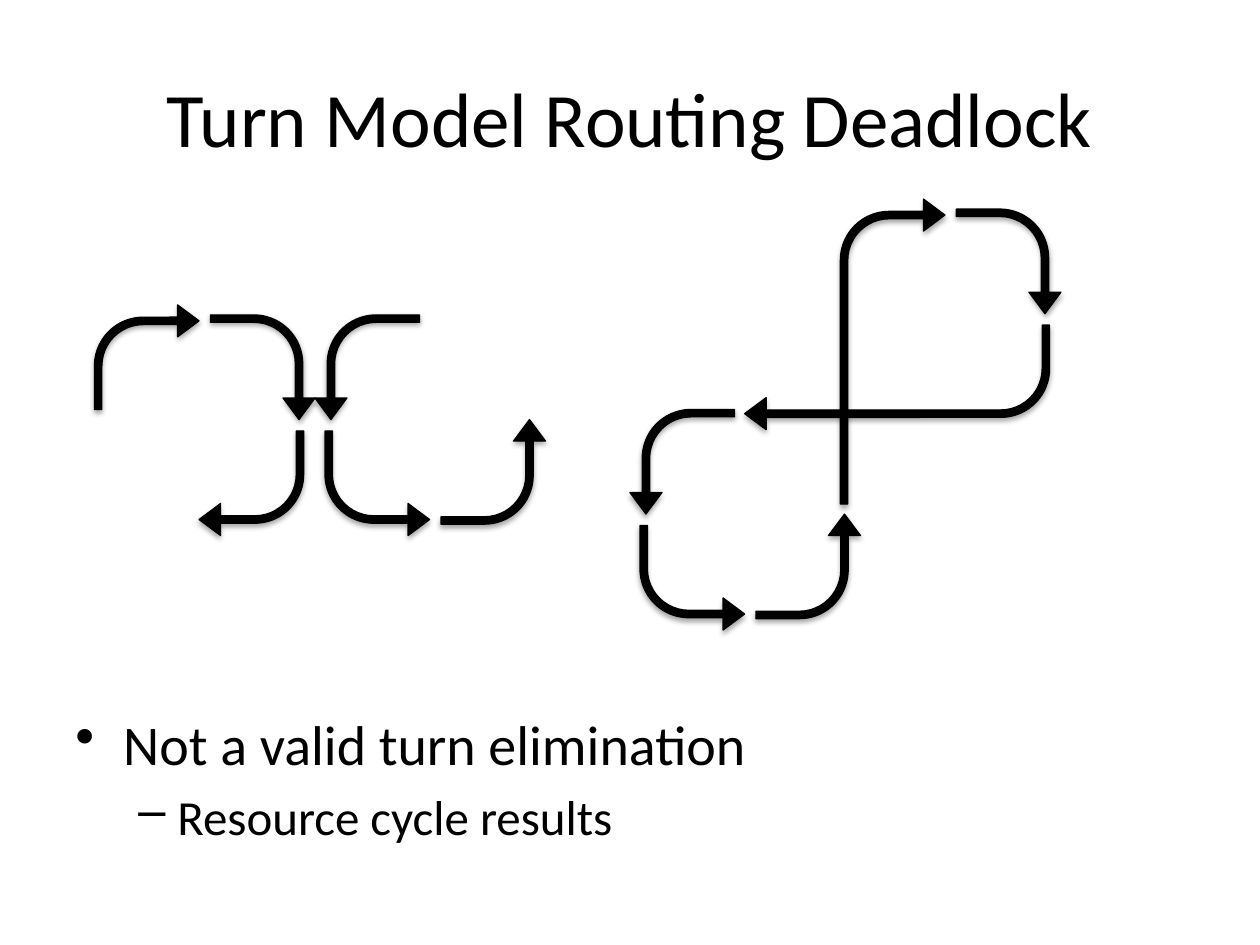
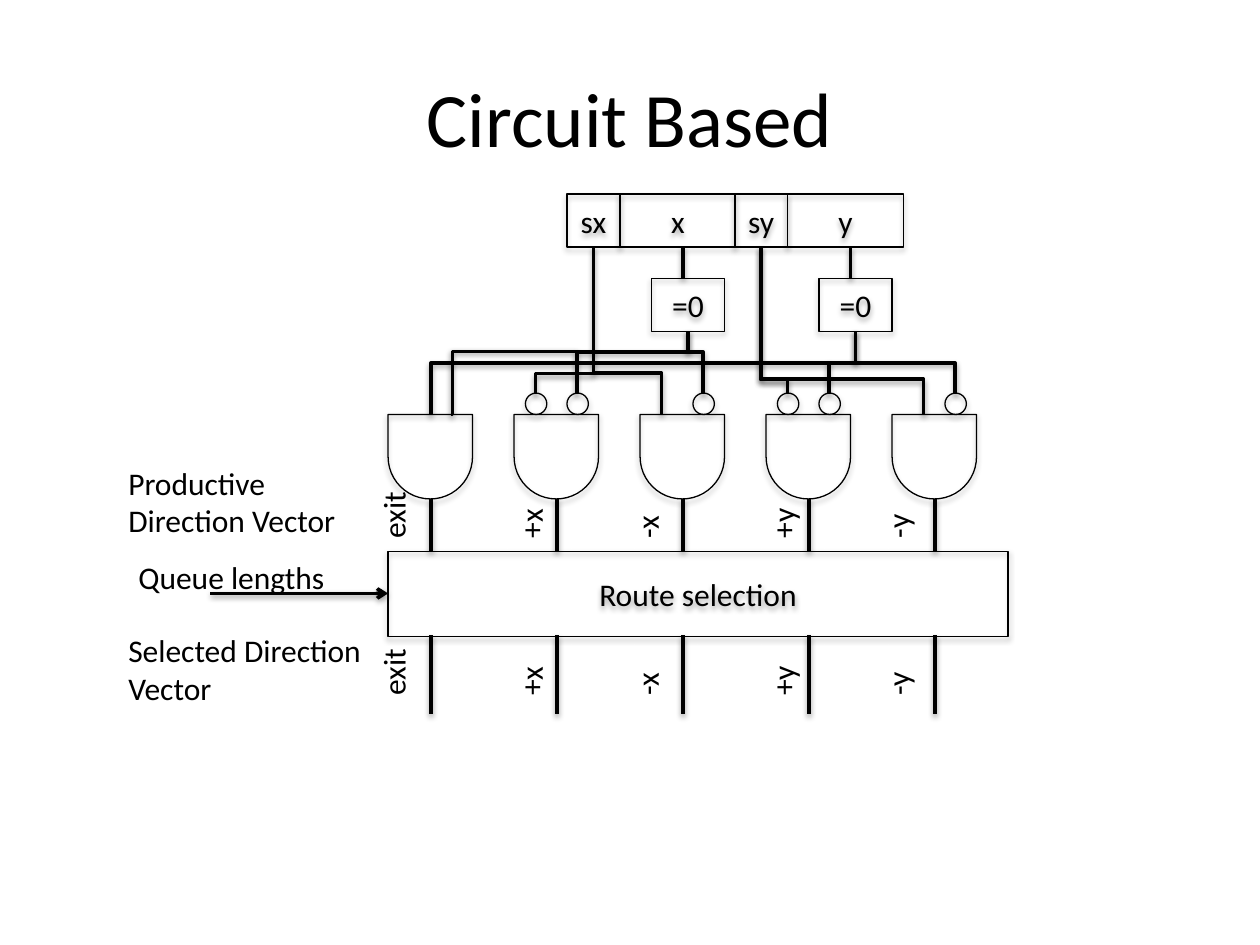
from dataclasses import dataclass

from pptx import Presentation
from pptx.dml.color import RGBColor
from pptx.enum.shapes import MSO_CONNECTOR, MSO_SHAPE
from pptx.enum.text import MSO_ANCHOR, MSO_AUTO_SIZE, PP_ALIGN
from pptx.oxml import parse_xml
from pptx.oxml.ns import nsdecls, qn
from pptx.util import Inches, Pt


@dataclass(frozen=True)
class Theme:
    ink: RGBColor = RGBColor(0, 0, 0)
    font: str = "Calibri"
    title: int = 44
    body: tuple = (32, 28)
    label: int = 18
    edge: float = 0.75
    wire: float = 2


THEME = Theme()
TURN = 0.83  # side of one square turn arrow


# Shared helpers
def shade(item, alpha, dist):
    item.element.spPr.append(parse_xml(
        f'<a:effectLst {nsdecls("a")}><a:outerShdw blurRad="40000" '
        f'dist="{dist}" dir="5400000" rotWithShape="0"><a:srgbClr '
        f'val="{THEME.ink}"><a:alpha val="{alpha}000"/></a:srgbClr>'
        '</a:outerShdw></a:effectLst>'))


def style(para, size, align=PP_ALIGN.LEFT):
    para.alignment = align
    for run in para.runs:
        run.font.name = THEME.font
        run.font.size = Pt(size)
        run.font.color.rgb = THEME.ink


def add_text(slide, box, text, size):
    item = slide.shapes.add_textbox(*map(Inches, box))
    frame = item.text_frame
    frame.word_wrap = True
    frame.text = text
    for para in frame.paragraphs:
        style(para, size)
    return item


def add_note(slide, box, text, angle=0):
    note = add_text(slide, box, text, THEME.label)
    note.text_frame.auto_size = MSO_AUTO_SIZE.SHAPE_TO_FIT_TEXT
    note.rotation = angle


def add_form(slide, kind, box, text="", solid=False, angle=0):
    form = slide.shapes.add_shape(kind, *map(Inches, box))
    form.rotation = angle
    if solid:
        form.fill.solid()
        form.fill.fore_color.rgb = THEME.ink
    else:
        form.fill.background()
    form.line.color.rgb = THEME.ink
    form.line.width = Pt(THEME.edge)
    shade(form, 35, 23000)
    if text:
        form.text_frame.text = text
        form.text_frame.vertical_anchor = MSO_ANCHOR.MIDDLE
        style(form.text_frame.paragraphs[0], THEME.label, PP_ALIGN.CENTER)
    return form


def add_wire(slide, start, end, kind=MSO_CONNECTOR.STRAIGHT):
    wire = slide.shapes.add_connector(kind, *map(Inches, (*start, *end)))
    wire.line.color.rgb = THEME.ink
    wire.line.width = Pt(THEME.wire)
    shade(wire, 38, 20000)
    return wire


def add_bend(slide, start, end, bend):
    """Elbow that leaves sideways and turns down at the given share."""
    wire = add_wire(slide, start, end, MSO_CONNECTOR.ELBOW)
    stops = wire.element.spPr.find(qn("a:prstGeom")).find(qn("a:avLst"))
    stops.append(parse_xml(f'<a:gd {nsdecls("a")} name="adj1" '
                           f'fmla="val {round(bend * 100000)}"/>'))
    return wire


def add_drop(slide, start, end, bend):
    """Elbow that leaves downwards: a sideways one, turned a quarter."""
    (x1, y1), (x2, y2) = start, end
    midx, midy = (x1 + x2) / 2, (y1 + y2) / 2
    long, wide = (y2 - y1) / 2, abs(x2 - x1) / 2
    wire = add_bend(slide, (midx - long, midy - wide),
                    (midx + long, midy + wide), bend)
    frame = wire.element.spPr.xfrm
    frame.set("rot", str((90 if x2 < x1 else 270) * 60000))
    if x2 > x1:
        frame.set("flipH", "1")


def new_slide(deck, title):
    slide = deck.slides.add_slide(deck.slide_layouts[6])
    head = add_text(slide, (0.5, 0.3, 9, 1.25), title, THEME.title)
    head.text_frame.vertical_anchor = MSO_ANCHOR.MIDDLE
    head.text_frame.paragraphs[0].alignment = PP_ALIGN.CENTER
    return slide


# Turn model slide
def add_turn(slide, box, angle, flip=False):
    turn = add_form(slide, MSO_SHAPE.BENT_ARROW, box, solid=True, angle=angle)
    for i, share in enumerate((0.071, 0.153, 0.205, 0.467)):
        turn.adjustments[i] = share
    if flip:
        turn.element.spPr.xfrm.set("flipH", "1")


def add_right(slide, x, y, reach=0):
    """Three clockwise turns; reach lengthens the two open ends."""
    add_turn(slide, (x, y, TURN, TURN + reach), 0)
    add_turn(slide, (x + 0.92, y + 0.08, TURN, TURN), 90)
    add_turn(slide, (x + TURN - reach, y + 1, TURN + reach, TURN), 180)


def add_left(slide, x, y):
    """Three counterclockwise turns."""
    for dx, dy, angle in ((0, 0, 270), (0.08, 0.92, 180), (1, 0.83, 90)):
        add_turn(slide, (x + dx, y + dy, TURN, TURN), angle, flip=True)


def add_points(slide, box, points):
    item = add_text(slide, box, "\n".join(points), THEME.body[0])
    levels = zip(item.text_frame.paragraphs, THEME.body,
                 "•–", (0.38, 0.81), (0.38, 0.31))
    for level, (para, size, mark, left, hang) in enumerate(levels):
        style(para, size)
        para.level = level
        para.space_before = Pt(size * 0.2)
        props = para._p.get_or_add_pPr()
        props.set("marL", str(Inches(left)))
        props.set("indent", str(-Inches(hang)))
        props.append(parse_xml(f'<a:buChar {nsdecls("a")} char="{mark}"/>'))


def turn_slide(deck):
    slide = new_slide(deck, "Turn Model Routing Deadlock")
    add_points(slide, (0.5, 5.58, 9, 1.12),
               ("Not a valid turn elimination", "Resource cycle results"))
    add_right(slide, 0.75, 2.42)
    add_left(slide, 2.5, 2.5)
    add_right(slide, 6.67, 1.58, reach=1.59)
    add_left(slide, 5, 3.25)


# Circuit slide
def add_fields(slide, x, y):
    """Sign and value fields, each value with its zero test."""
    for i, axis in enumerate("xy"):
        left = x + 1.33 * i
        add_form(slide, MSO_SHAPE.RECTANGLE, (left, y, 0.42, 0.42), "s" + axis)
        add_form(slide, MSO_SHAPE.RECTANGLE,
                 (left + 0.42, y, 0.92, 0.42), axis)
        add_form(slide, MSO_SHAPE.RECTANGLE,
                 (left + 0.67, y + 0.67, 0.58, 0.42), "=0")
        add_wire(slide, (left + 0.92, y + 0.42), (left + 0.92, y + 0.67))


def add_gates(slide, x, y):
    for i in range(5):
        add_form(slide, MSO_SHAPE.FLOWCHART_DELAY,
                 (x + i, y, 0.67, 0.67), angle=90)
    for dx in (1.09, 1.42, 2.42, 3.09, 3.42, 4.42):
        add_form(slide, MSO_SHAPE.OVAL, (x + dx, y - 0.17, 0.17, 0.17))


def add_inputs(slide, x, y):
    """Wires from the fields and tests to the gates."""
    drops = (
        (1.63, 0.42, 1.17, 1.59, 0.86),
        (2.38, 1.09, 2.5, 1.59, 0.33),
        (2.38, 1.09, 1.5, 1.59, 0.33),
        (3.71, 1.09, 3.5, 1.59, 0.5),
        (3.71, 1.09, 4.5, 1.59, 0.5),
        (2.96, 0.42, 3.17, 1.59, 0.9),
        (2.96, 0.42, 4.25, 1.75, 0.79),
    )
    bends = (
        (1.63, 1.42, 2.17, 1.75, 1),
        (1.5, 1.25, 0.5, 1.75, 0.99),
        (3.5, 1.34, 0.34, 1.75, 1),
    )
    for draw, wires in ((add_drop, drops), (add_bend, bends)):
        for x1, y1, x2, y2, bend in wires:
            draw(slide, (x + x1, y + y1), (x + x2, y + y2), bend)


def add_vector(slide, x, y, length):
    """Five direction wires with their upright names."""
    names = ("exit", "+x", "-x", "+y", "-y")
    shifts = (-0.25, 0.84, 1.76, 2.84, 3.75)
    for i, (name, dx) in enumerate(zip(names, shifts)):
        wire = x + 0.34 + i
        add_wire(slide, (wire, y), (wire, y + length))
        add_note(slide, (x + dx, y + 0.09 - 0.17 * (length < 0.5),
                         0.58, 0.4), name, 270)


def add_route(slide, x, y):
    """Selection box, its queue input and the side notes."""
    add_form(slide, MSO_SHAPE.RECTANGLE, (x, y, 4.92, 0.67), "Route selection")
    queue = add_wire(slide, (x - 1.41, y + 0.33), (x, y + 0.33))
    queue.element.spPr.find(qn("a:ln")).append(
        parse_xml(f'<a:tailEnd {nsdecls("a")} type="arrow"/>'))
    add_note(slide, (x - 2.08, y, 2.58, 0.4), "Queue lengths")
    for dy, word in ((-0.75, "Productive"), (0.58, "Selected")):
        add_note(slide, (x - 2.16, y + dy, 2.17, 0.71),
                 word + " Direction Vector")


def circuit_slide(deck):
    slide = new_slide(deck, "Circuit Based")
    x, y = 3.08, 1.54
    add_fields(slide, x + 1.42, y)
    add_gates(slide, x, y + 1.75)
    add_inputs(slide, x, y)
    add_route(slide, x, y + 2.84)
    add_vector(slide, x, y + 2.42, 0.42)
    add_vector(slide, x, y + 3.5, 0.63)


def main():
    deck = Presentation()
    deck.slide_width, deck.slide_height = Inches(10), Inches(7.5)
    turn_slide(deck)
    circuit_slide(deck)
    deck.save("out.pptx")


if __name__ == "__main__":
    main()
